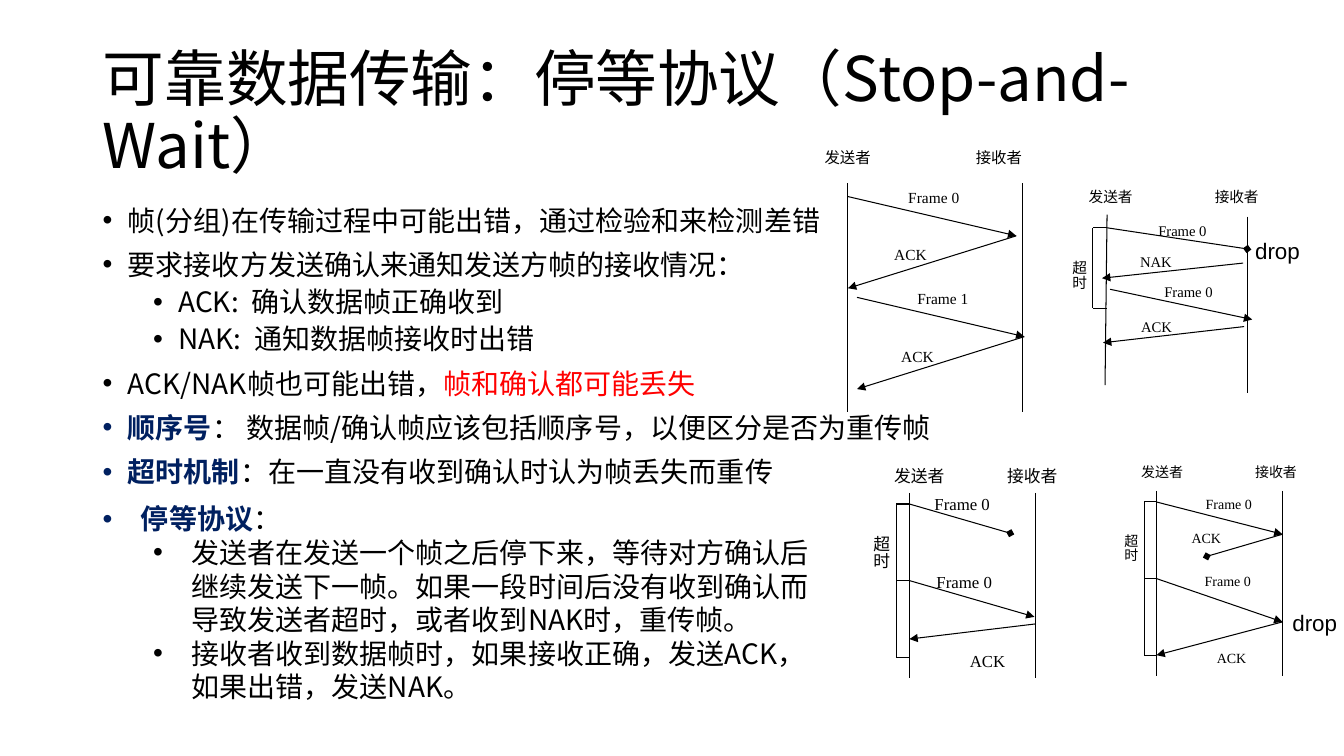
"""Build the slide on the stop-and-wait protocol with its four timing diagrams."""
from lxml.etree import SubElement
from pptx import Presentation
from pptx.dml.color import RGBColor
from pptx.enum.lang import MSO_LANGUAGE_ID
from pptx.enum.shapes import MSO_CONNECTOR
from pptx.enum.text import MSO_ANCHOR, MSO_AUTO_SIZE, PP_ALIGN
from pptx.oxml.ns import qn
from pptx.util import Inches, Pt

COLORS = {"black": "000000", "red": "FF0000", "navy": "002060"}
SANS, SERIF = "Noto Sans CJK SC", "Times New Roman"


def write_text(shape, paragraphs, size=20, font=SERIF, pitch=None, spacing=(0, 0),
               indents=None, hanging=0.25, anchor=MSO_ANCHOR.TOP, vertical=False):
    frame = shape.text_frame
    frame.word_wrap = True
    frame.auto_size = MSO_AUTO_SIZE.NONE
    frame.vertical_anchor = anchor
    if vertical:
        frame._txBody.bodyPr.set("vert", "eaVert")
    for index, (level, runs) in enumerate(paragraphs):
        paragraph = frame.add_paragraph() if index else frame.paragraphs[0]
        paragraph.level = level
        paragraph.alignment = PP_ALIGN.LEFT
        paragraph.space_before = Pt(spacing[level])
        if pitch:
            paragraph.line_spacing = Pt(pitch)
        if indents:
            properties = paragraph._p.get_or_add_pPr()
            properties.set("marL", str(Inches(indents[level])))
            properties.set("indent", str(-Inches(hanging)))
            SubElement(properties, qn("a:buFont"), typeface="Arial")
            SubElement(properties, qn("a:buChar"), char="•")
        for text, color in runs:
            run = paragraph.add_run()
            run.text = text
            run.font.size = Pt(size)
            run.font.name = font
            run.font.bold = color == "navy"
            run.font.color.rgb = RGBColor.from_string(COLORS[color])
            run.font.language_id = MSO_LANGUAGE_ID.SIMPLIFIED_CHINESE
            if font == SANS:
                SubElement(run.font._element, qn("a:ea"), typeface=font)


def add_line(shapes, start_x, start_y, end_x, end_y, arrow=None):
    points = [Inches(value) for value in (start_x, start_y, end_x, end_y)]
    line = shapes.add_connector(MSO_CONNECTOR.STRAIGHT, *points)
    line.line.width = Pt(0.75)
    line.line.color.rgb = RGBColor.from_string(COLORS["black"])
    if arrow:
        SubElement(line.line._get_or_add_ln(), qn("a:tailEnd"), type=arrow)
    SubElement(line._element.spPr, qn("a:effectLst"))


presentation = Presentation()
presentation.slide_width, presentation.slide_height = Inches(13.33), Inches(7.5)
slide = presentation.slides.add_slide(presentation.slide_layouts[5])

title = slide.shapes.title
title.left, title.top = Inches(0.92), Inches(0.4)
title.width, title.height = Inches(11.5), Inches(1.45)
write_text(title, [(0, [("可靠数据传输：停等协议（Stop-and-Wait）", "black")])],
           size=44, font=SANS, pitch=48, anchor=MSO_ANCHOR.MIDDLE)

principles = [
    (0, [("帧(分组)在传输过程中可能出错，通过检验和来检测差错", "black")]),
    (0, [("要求接收方发送确认来通知发送方帧的接收情况：", "black")]),
    (1, [("ACK:  确认数据帧正确收到", "black")]),
    (1, [("NAK:  通知数据帧接收时出错", "black")]),
    (0, [("ACK/NAK帧也可能出错，", "black"), ("帧和确认都可能丢失", "red")]),
    (0, [("顺序号", "navy"),
         ("： 数据帧/确认帧应该包括顺序号，以便区分是否为重传帧", "black")]),
    (0, [("超时机制", "navy"), ("：在一直没有收到确认时认为帧丢失而重传", "black")]),
]
protocol = [
    (0, [("停等协议", "navy"), ("：", "black")]),
    (1, [("发送者在发送一个帧之后停下来，等待对方确认后继续发送下一帧。"
          "如果一段时间后没有收到确认而导致发送者超时，或者收到NAK时，重传帧。", "black")]),
    (1, [("接收者收到数据帧时，如果接收正确，发送ACK，如果出错，发送NAK。", "black")]),
]
principles_box = slide.shapes.add_textbox(Inches(0.92), Inches(2), Inches(11.5), Inches(4.76))
write_text(principles_box, principles, font=SANS, pitch=21.6, spacing=(10, 5),
           indents=(0.25, 0.75))
protocol_box = slide.shapes.add_textbox(Inches(0.92), Inches(4.93), Inches(7.32), Inches(2.12))
write_text(protocol_box, protocol, font=SANS, pitch=24, indents=(0.38, 0.88), hanging=0.38)

diagrams = [
    {"size": 11,
     "labels": [("发送者", 8.08, 1.42), ("接收者", 9.58, 1.42), ("Frame 0", 8.91, 1.82),
                ("ACK", 8.77, 2.38), ("Frame 1", 9, 2.82), ("ACK", 8.84, 3.39)],
     "timelines": [(8.41, 1.82, 8.41, 4.09), (10.14, 1.82, 10.14, 4.09)],
     "messages": [(8.41, 1.95, 10.08, 2.34), (10.08, 2.34, 8.41, 2.86),
                  (8.5, 2.95, 10.16, 3.34), (10.16, 3.34, 8.5, 3.86)]},
    {"size": 10.5,
     "labels": [("发送者", 10.7, 1.81), ("接收者", 11.95, 1.81), ("Frame 0", 11.39, 2.15),
                ("NAK", 11.21, 2.46), ("Frame 0", 11.45, 2.76), ("ACK", 11.22, 3.1)],
     "timelines": [(10.98, 2.13, 10.96, 3.82), (12.37, 2.15, 12.37, 3.9)],
     "messages": [(12.33, 2.61, 10.93, 2.76), (11.01, 2.87, 12.42, 3.17),
                  (12.34, 3.24, 10.94, 3.4)],
     "lost": (10.98, 2.26, 12.37, 2.47),
     "timeout": (10.28, 2.49, 0.56, 0.68),
     "bracket": (10.84, 10.98, [2.26, 3.06])},
    {"size": 12,
     "labels": [("发送者", 8.77, 4.57), ("接收者", 9.89, 4.57), ("Frame 0", 9.17, 4.85),
                ("Frame 0", 9.19, 5.62), ("ACK", 9.52, 6.41)],
     "timelines": [(9.02, 4.89, 9.02, 6.73), (10.27, 4.89, 10.27, 6.73)],
     "messages": [(9.02, 5.76, 10.26, 6.12), (10.27, 6.19, 9.02, 6.34)],
     "lost": (9.02, 5, 10.02, 5.29),
     "timeout": (8.39, 5.22, 0.5, 0.65),
     "bracket": (8.89, 9.02, [5, 5.76, 6.52])},
    {"size": 10,
     "labels": [("发送者", 11.22, 4.55), ("接收者", 12.35, 4.55), ("Frame 0", 11.86, 4.87),
                ("ACK", 11.72, 5.2), ("Frame 0", 11.85, 5.63), ("ACK", 11.97, 6.39)],
     "timelines": [(11.47, 4.87, 11.47, 6.71), (12.72, 4.87, 12.72, 6.71)],
     "messages": [(11.47, 4.98, 12.72, 5.3), (11.47, 5.74, 12.72, 6.17),
                  (12.72, 6.17, 11.47, 6.5)],
     "lost": (12.72, 5.3, 11.97, 5.52),
     "timeout": (10.85, 5.2, 0.5, 0.65),
     "bracket": (11.35, 11.47, [4.98, 5.74, 6.5])},
]

for diagram in diagrams:
    shapes = slide.shapes.add_group_shape().shapes
    for timeline in diagram["timelines"]:
        add_line(shapes, *timeline)
    for message in diagram["messages"]:
        add_line(shapes, *message, arrow="triangle")
    for text, left, top in diagram["labels"]:
        label = shapes.add_textbox(Inches(left), Inches(top), Inches(0.84), Inches(0.34))
        write_text(label, [(0, [(text, "black")])], size=diagram["size"])
    if "lost" in diagram:
        add_line(shapes, *diagram["lost"], arrow="diamond")
        timeout = shapes.add_textbox(*[Inches(value) for value in diagram["timeout"]])
        write_text(timeout, [(0, [("超时", "black")])], size=diagram["size"], vertical=True)
        left, right, ticks = diagram["bracket"]
        add_line(shapes, left, ticks[0], left, ticks[-1])
        for tick in ticks:
            add_line(shapes, left, tick, right, tick)

for left, top in [(12.35, 2.3), (12.72, 5.99)]:
    drop = slide.shapes.add_textbox(Inches(left), Inches(top), Inches(0.84), Inches(0.34))
    write_text(drop, [(0, [("drop", "black")])], size=16, font="Arial")

presentation.save("out.pptx")
